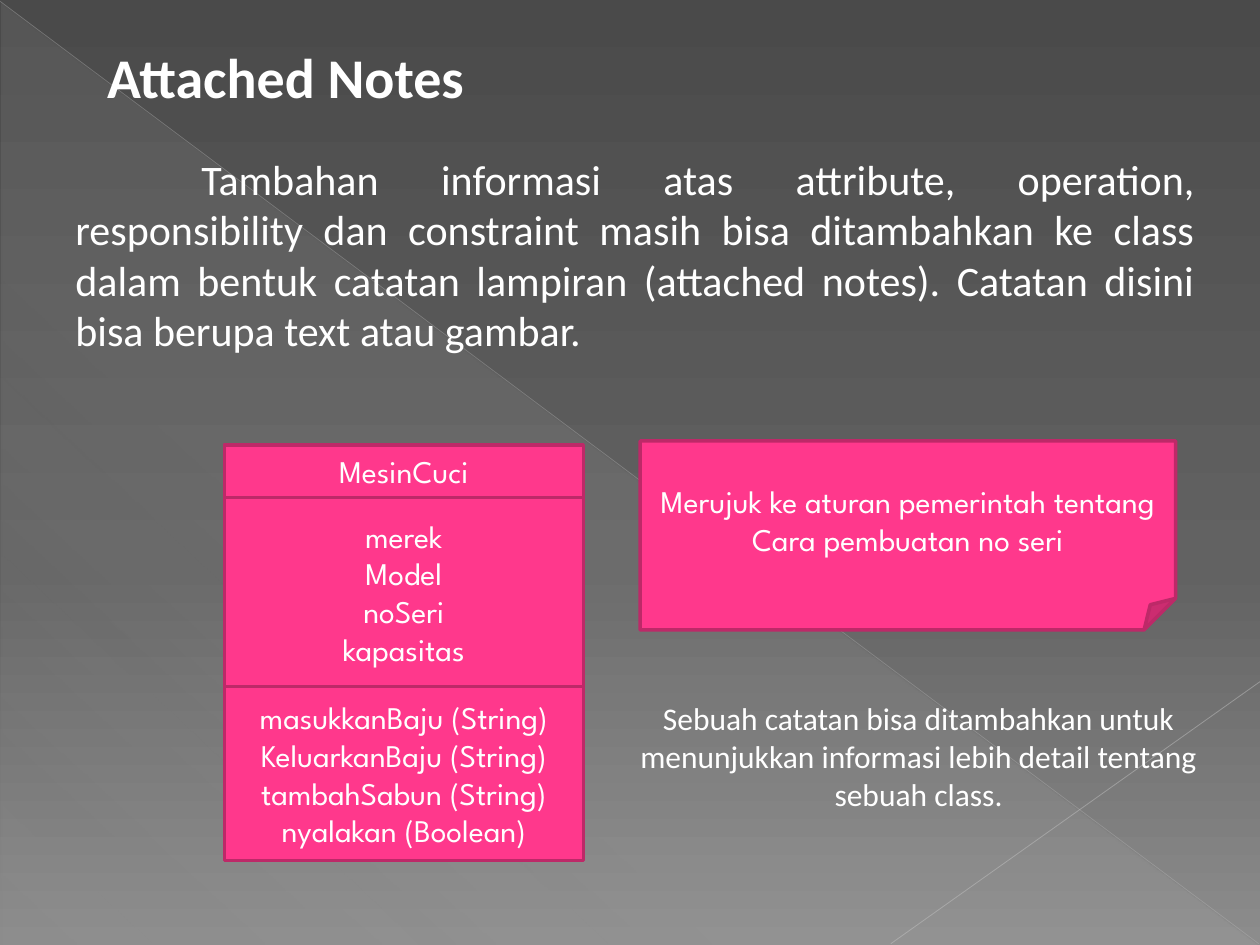
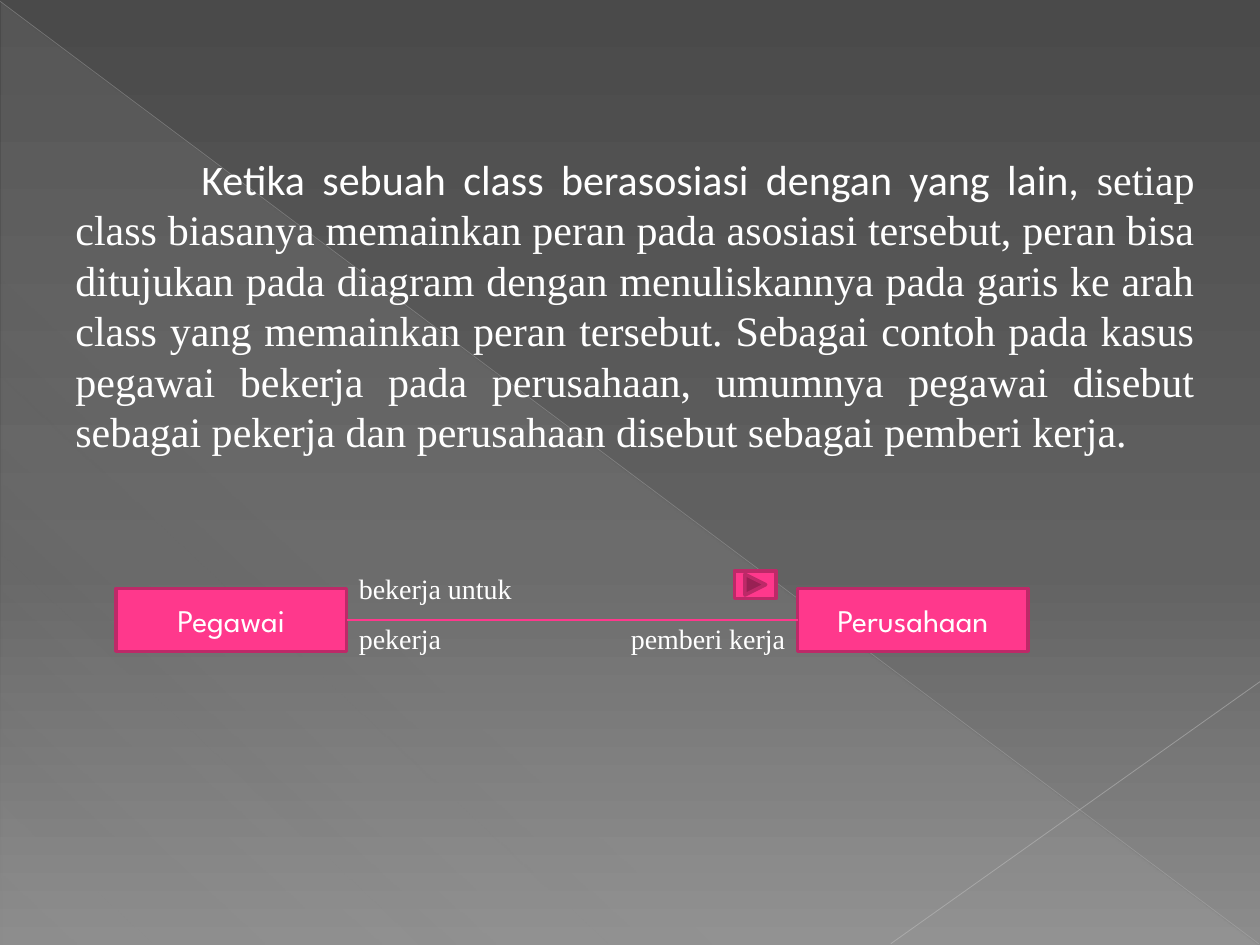
from dataclasses import dataclass
from itertools import count

from lxml import etree
from pptx import Presentation
from pptx.dml.color import RGBColor
from pptx.enum.shapes import MSO_CONNECTOR as Connector, MSO_SHAPE as Preset
from pptx.enum.text import MSO_ANCHOR as Anchor, PP_ALIGN as Align
from pptx.oxml.ns import qn
from pptx.util import Inches, Pt

WHITE, PINK, DARK_PINK = "FFFFFF", "FF388C", "BD2968"
BODY_FONT, BOX_FONT, SERIF_FONT = "Calibri", "League Spartan", "Times New Roman"


@dataclass(frozen=True)
class Area:
    left: float
    top: float
    width: float
    height: float

    def lengths(self) -> tuple:
        return tuple(map(Inches, (self.left, self.top, self.width, self.height)))


@dataclass(frozen=True)
class GradientStop:
    position: int
    colour: str
    opacity: int = 100


@dataclass(frozen=True)
class Line:
    start: tuple[float, float]
    end: tuple[float, float]
    colour: str
    width: float
    opacity: int = 100


@dataclass(frozen=True)
class Label:
    text: str
    area: Area
    align: Align = Align.LEFT


BODY_AREA = Area(0.5, 1.17, 9.08, 6.17)
BACKGROUND = [GradientStop(0, "4A4A4A"), GradientStop(60, "626262"),
              GradientStop(100, "8C8C8C")]
SHEEN = [GradientStop(0, "D2D2D2", 10), GradientStop(70, "D2D2D2", 8),
         GradientStop(100, "D2D2D2", 1)]
DIAGONALS = [Line((0, 0.01), (9.99, 7.49), "BFBFBF", 0.39, 35),
             Line((10, 5.41), (7.07, 7.49), "C6C6C6", 0.47, 45)]


def rgb(colour: str) -> RGBColor:
    return RGBColor.from_string(colour)


# Fills and lines
def set_opacity(colour_element, percent: int) -> None:
    if percent < 100:
        etree.SubElement(colour_element, qn("a:alpha")).set("val", str(percent * 1000))


def fill_gradient(fill, owner, stops: list[GradientStop], angle: int) -> None:
    """Give the fill inside the owner element its stops and clockwise angle."""
    fill.gradient()
    gradient = next(owner.iter(qn("a:gradFill")))
    for child in list(gradient):
        gradient.remove(child)
    stop_list = etree.SubElement(gradient, qn("a:gsLst"))
    for stop in stops:
        item = etree.SubElement(stop_list, qn("a:gs"), pos=str(stop.position * 1000))
        colour = etree.SubElement(item, qn("a:srgbClr"), val=stop.colour)
        set_opacity(colour, stop.opacity)
    etree.SubElement(gradient, qn("a:lin"), ang=str(angle * 60000), scaled="0")


def add_line(slide, line: Line):
    points = [Inches(value) for value in (*line.start, *line.end)]
    connector = slide.shapes.add_connector(Connector.STRAIGHT, *points)
    connector.line.color.rgb = rgb(line.colour)
    connector.line.width = Pt(line.width)
    set_opacity(next(connector.element.iter(qn("a:srgbClr"))), line.opacity)
    etree.SubElement(connector.element.spPr, qn("a:effectLst"))
    return connector


# Text and boxes
def style_paragraph(paragraph, font: str, size: float, align: Align,
                    bold: bool = False) -> None:
    paragraph.alignment = align
    paragraph.font.name = font
    paragraph.font.size = Pt(size)
    paragraph.font.bold = bold
    paragraph.font.color.rgb = rgb(WHITE)


def add_text(slide, label: Label, font: str, size: float,
             anchor: Anchor = Anchor.TOP):
    frame = slide.shapes.add_textbox(*label.area.lengths()).text_frame
    frame.word_wrap = True
    frame.vertical_anchor = anchor
    paragraph = frame.paragraphs[0]
    paragraph.text = label.text
    style_paragraph(paragraph, font, size, label.align)
    return paragraph


def add_body(slide, text: str, font: str = BODY_FONT):
    """Add the justified body paragraph with its first line indented."""
    paragraph = add_text(slide, Label(text, BODY_AREA, Align.JUSTIFY), font, 24)
    paragraph.element.get_or_add_pPr().set("indent", str(Inches(1))) if hasattr(
        paragraph, "element") else paragraph._p.get_or_add_pPr().set(
        "indent", str(Inches(1)))
    return paragraph


def add_box(slide, area: Area, lines: tuple[str, ...] = (),
            preset: Preset = Preset.RECTANGLE) -> None:
    shape = slide.shapes.add_shape(preset, *area.lengths())
    shape.shadow.inherit = False
    shape.fill.solid()
    shape.fill.fore_color.rgb = rgb(PINK)
    shape.line.color.rgb = rgb(DARK_PINK)
    shape.line.width = Pt(2)
    if lines:
        frame = shape.text_frame
        frame.word_wrap = True
        frame.vertical_anchor = Anchor.MIDDLE
        frame.text = "\n".join(lines)
        for paragraph in frame.paragraphs:
            style_paragraph(paragraph, BOX_FONT, 18, Align.CENTER)


def set_title(slide, text: str) -> None:
    title = slide.shapes.title
    title.left, title.top, title.width, title.height = Area(0.75, 0.25, 7.5, 0.71).lengths()
    title.text_frame.text = text
    title.text_frame.vertical_anchor = Anchor.MIDDLE
    style_paragraph(title.text_frame.paragraphs[0], BODY_FONT, 32, Align.LEFT, True)


# Shared backdrop, kept on the master
def decorate_master(master, slide) -> None:
    """Draw the backdrop on a slide and move it to the master."""
    fill_gradient(master.background.fill, master.element, BACKGROUND, 90)
    triangle = slide.shapes.add_shape(Preset.RIGHT_TRIANGLE,
                                      *Area(0.01, 0.02, 9.98, 7.48).lengths())
    triangle.shadow.inherit = False
    triangle.line.fill.background()
    fill_gradient(triangle.fill, triangle.element, SHEEN, 133)
    backdrop = [triangle] + [add_line(slide, line) for line in DIAGONALS]
    for shape, number in zip(backdrop, count(101)):
        next(shape.element.iter(qn("p:cNvPr"))).set("id", str(number))
        master.shapes.element.append(shape.element)


presentation = Presentation()
presentation.slide_width, presentation.slide_height = Inches(10), Inches(7.5)
title_only, blank = presentation.slide_layouts[5], presentation.slide_layouts[6]

# Slide 1: class with an attached note
notes_slide = presentation.slides.add_slide(title_only)
decorate_master(presentation.slide_master, notes_slide)
set_title(notes_slide, "Attached Notes")
add_body(notes_slide,
         "Tambahan informasi atas attribute, operation, responsibility dan constraint "
         "masih bisa ditambahkan ke class dalam bentuk catatan lampiran (attached "
         "notes). Catatan disini bisa berupa text atau gambar.")

compartments = [
    (0.42, ("MesinCuci",)),
    (1.5, ("merek", "Model", "noSeri", "kapasitas")),
    (1.38, ("masukkanBaju (String)", "KeluarkanBaju (String)",
            "tambahSabun (String)", "nyalakan (Boolean)")),
]
top = 3.53
for height, lines in compartments:
    add_box(notes_slide, Area(1.78, top, 2.85, height), lines)
    top += height

add_box(notes_slide, Area(5.08, 3.5, 4.25, 1.5),
        ("Merujuk ke aturan pemerintah tentang", "Cara pembuatan no seri"),
        Preset.FOLDED_CORNER)
caption = Label("Sebuah catatan bisa ditambahkan untuk menunjukkan informasi lebih "
                "detail tentang sebuah class.", Area(4.75, 5.5, 5.08, 0.92), Align.CENTER)
add_text(notes_slide, caption, BODY_FONT, 18)

# Slide 2: association between two classes with roles
roles_slide = presentation.slides.add_slide(blank)
body = add_body(roles_slide, "Ketika sebuah class berasosiasi dengan yang lain, ")
serif_run = body.add_run()
serif_run.text = (
    "setiap class biasanya memainkan peran pada asosiasi tersebut, peran bisa "
    "ditujukan pada diagram dengan menuliskannya pada garis ke arah class yang "
    "memainkan peran tersebut. Sebagai contoh pada kasus pegawai bekerja pada "
    "perusahaan, umumnya pegawai disebut sebagai pekerja dan perusahaan disebut "
    "sebagai pemberi kerja.")
serif_run.font.name = SERIF_FONT

for left, name in ((0.92, "Pegawai"), (6.33, "Perusahaan")):
    add_box(roles_slide, Area(left, 4.67, 1.83, 0.5), (name,))
add_line(roles_slide, Line((2.75, 4.92), (6.33, 4.92), PINK, 0.75))
add_box(roles_slide, Area(5.83, 4.53, 0.33, 0.22),
        preset=Preset.ACTION_BUTTON_FORWARD_OR_NEXT)

for label in (
    Label("bekerja untuk", Area(2.75, 4.49, 1.5, 0.36)),
    Label("pekerja", Area(2.75, 4.89, 1.5, 0.36)),
    Label("pemberi kerja", Area(4.83, 4.89, 1.5, 0.36), Align.RIGHT),
):
    add_text(roles_slide, label, SERIF_FONT, 16, Anchor.MIDDLE)

presentation.save("out.pptx")
